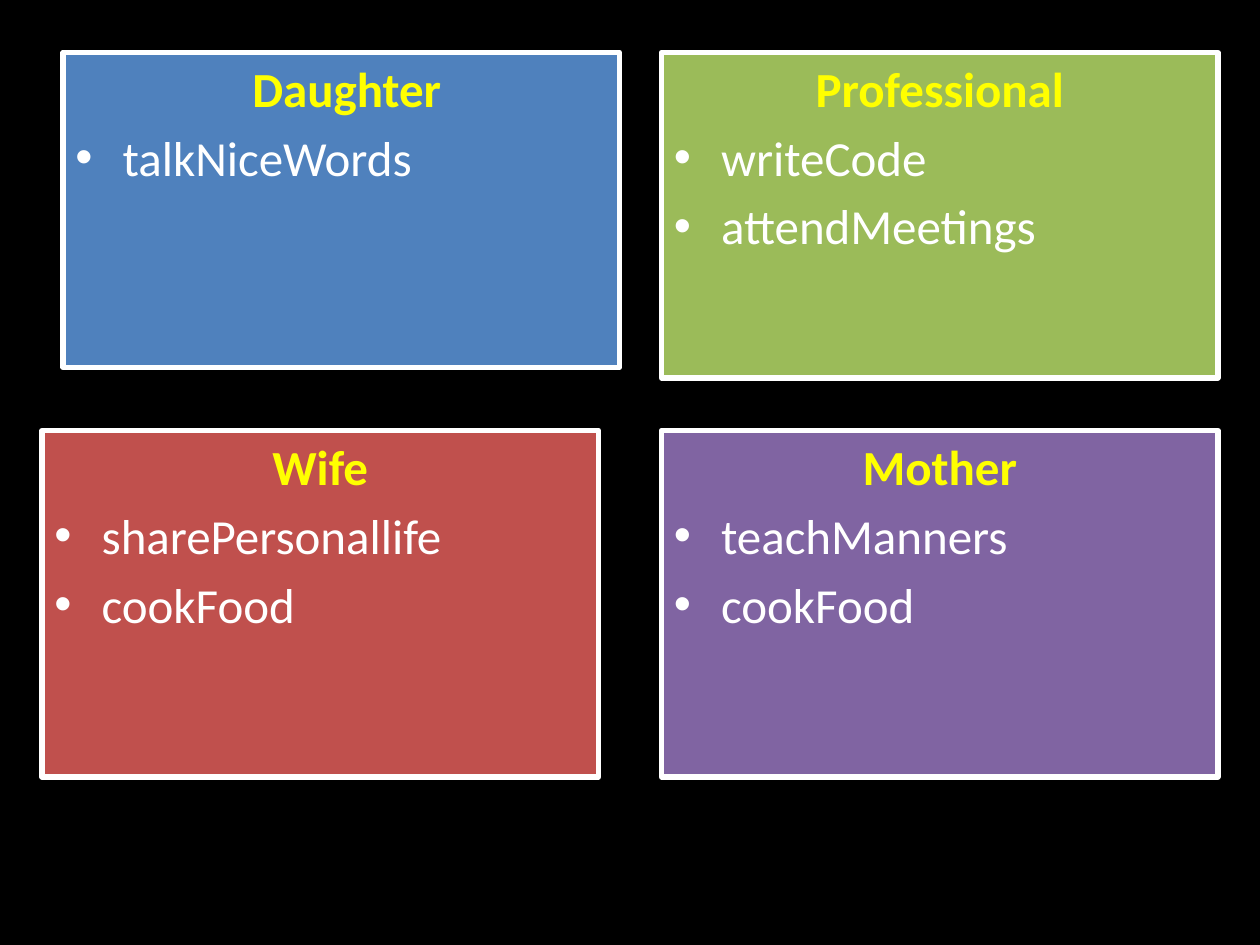
from lxml.etree import SubElement
from pptx import Presentation
from pptx.dml.color import RGBColor
from pptx.enum.shapes import MSO_SHAPE
from pptx.enum.text import MSO_ANCHOR, PP_ALIGN
from pptx.oxml.ns import qn
from pptx.util import Pt


def color(value):
    return RGBColor.from_string(value)


prs = Presentation()
prs.slide_width, prs.slide_height = Pt(720), Pt(540)
s = prs.slides.add_slide(prs.slide_layouts[6])

# Black background
s.background.fill.solid()
s.background.fill.fore_color.rgb = color("000000")

# Roles: left, top, height, fill, title, methods
WIDTH = 318
INDENT = 27
roles = [
    (36, 30, 180, "4F81BD", " Daughter", ["talkNiceWords"]),
    (378, 30, 186, "9BBB59", "Professional", ["writeCode", "attendMeetings"]),
    (24, 246, 198, "C0504D", "Wife", ["sharePersonallife", "cookFood"]),
    (378, 246, 198, "8064A2", "Mother", ["teachManners", "cookFood"]),
]

for left, top, height, fill, title, methods in roles:
    # Role box
    sp = s.shapes.add_shape(MSO_SHAPE.RECTANGLE, Pt(left), Pt(top), Pt(WIDTH), Pt(height))
    sp.shadow.inherit = False
    sp.fill.solid()
    sp.fill.fore_color.rgb = color(fill)
    sp.line.color.rgb = color("FFFFFF")
    sp.line.width = Pt(3)

    # Centred title, then one bullet per method
    tf = sp.text_frame
    tf.word_wrap = True
    tf.vertical_anchor = MSO_ANCHOR.TOP
    tf.text = "\n".join([title, *methods])
    for i, p in enumerate(tf.paragraphs):
        is_title = i == 0
        p.alignment = PP_ALIGN.CENTER if is_title else PP_ALIGN.LEFT
        p.space_before = Pt(5.6)
        font = p.runs[0].font
        font.name = "Calibri"
        font.size = Pt(28)
        font.bold = is_title
        font.color.rgb = color("FFFF00" if is_title else "FFFFFF")

        # Hanging indent and bullet
        pPr = p._p.get_or_add_pPr()
        pPr.set("marL", str(Pt(INDENT)))
        pPr.set("indent", str(-Pt(INDENT)))
        if not is_title:
            SubElement(pPr, qn("a:buFont"), typeface="Arial")
            SubElement(pPr, qn("a:buChar"), char="•")

prs.save("out.pptx")
